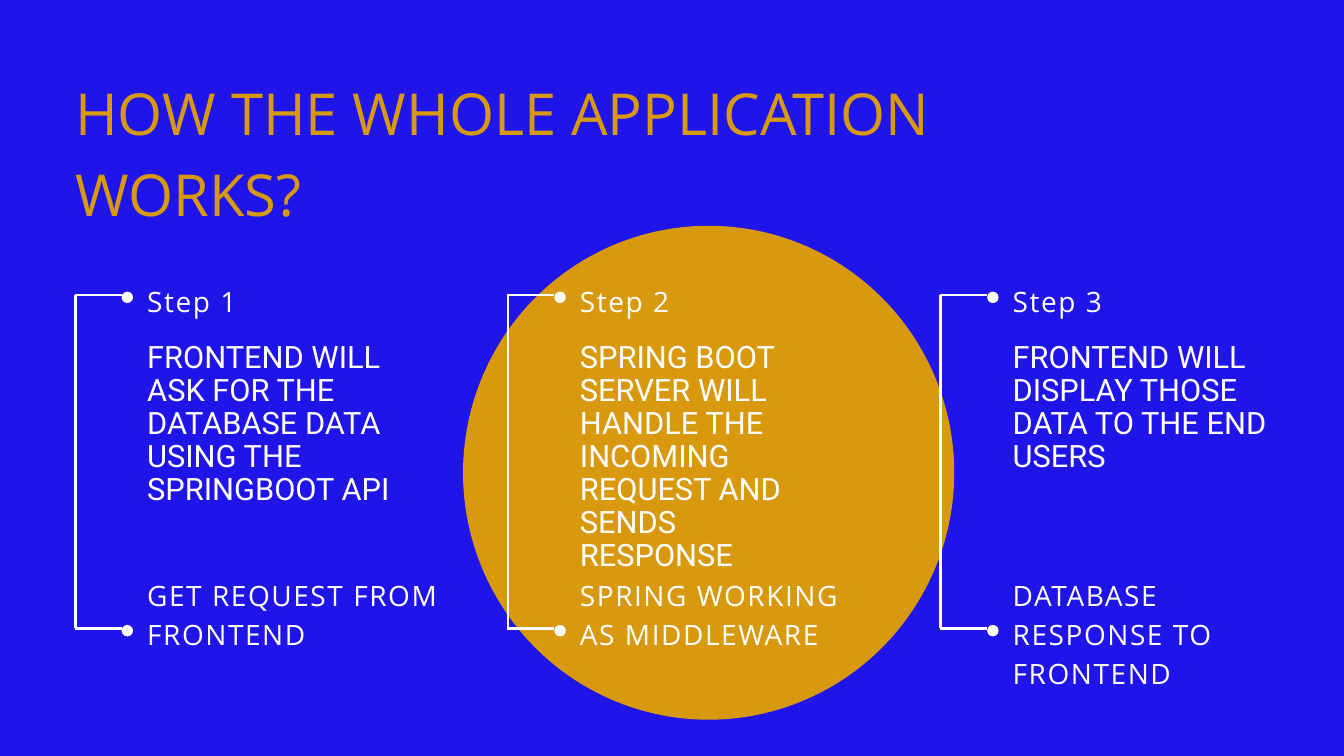
from pptx import Presentation
from pptx.dml.color import RGBColor
from pptx.enum.shapes import MSO_CONNECTOR, MSO_SHAPE
from pptx.enum.text import MSO_ANCHOR, MSO_AUTO_SIZE, PP_ALIGN
from pptx.oxml.ns import qn
from pptx.util import Inches, Pt
from lxml.etree import SubElement

COLOURS = {"background": "2015E8", "accent": "D8990F", "text": "FFFFFF"}
FORMATS = {
    "title": {"size": 62, "name": "Open Sans", "colour": "accent", "leading": 86.8, "spacing": 0},
    "label": {"size": 30, "name": "Open Sans", "colour": "text", "leading": 42, "spacing": 1.7},
    "detail": {"size": 33, "name": "Roboto", "colour": "text", "leading": 35.3, "spacing": 0},
}
STEPS = [
    ("Step 1", "FRONTEND WILL ASK FOR THE DATABASE DATA USING THE SPRINGBOOT API",
     "GET REQUEST FROM FRONTEND"),
    ("Step 2", "SPRING BOOT SERVER WILL HANDLE THE INCOMING REQUEST AND SENDS RESPONSE",
     "SPRING WORKING AS MIDDLEWARE"),
    ("Step 3", "FRONTEND WILL DISPLAY THOSE DATA TO THE END USERS",
     "DATABASE RESPONSE TO FRONTEND"),
]

# Grid: three step columns, with bracket arms on two rows
LEFT, PITCH = 1.12, 6.44
TEXT_INDENT, ARM, DOT = 1.07, 0.69, 0.17
ARM_ROWS = (4.39, 9.35)


def write(shape, text, format_name):
    values = FORMATS[format_name]
    frame = shape.text_frame
    frame.text = text
    settings = {"margin_left": 0, "margin_top": 0, "margin_right": 0, "margin_bottom": 0,
                "word_wrap": True, "vertical_anchor": MSO_ANCHOR.TOP,
                "auto_size": MSO_AUTO_SIZE.SHAPE_TO_FIT_TEXT}
    for name, value in settings.items():
        setattr(frame, name, value)
    paragraph = frame.paragraphs[0]
    paragraph.alignment = PP_ALIGN.LEFT
    paragraph.line_spacing = Pt(values["leading"])
    font = paragraph.runs[0].font
    for name, value in {"size": Pt(values["size"]), "name": values["name"]}.items():
        setattr(font, name, value)
    font.color.rgb = RGBColor.from_string(COLOURS[values["colour"]])
    if values["spacing"]:
        paragraph.runs[0]._r.get_or_add_rPr().set("spc", str(round(values["spacing"] * 100)))


def add_oval(slide, left, top, width, height, colour):
    shape = slide.shapes.add_shape(MSO_SHAPE.OVAL, *map(Inches, (left, top, width, height)))
    shape.shadow.inherit = False
    shape.fill.solid()
    shape.fill.fore_color.rgb = RGBColor.from_string(COLOURS[colour])
    shape.line.fill.background()


presentation = Presentation()
presentation.slide_width = Inches(20)
presentation.slide_height = Inches(11.25)
slide = presentation.slides.add_slide(presentation.slide_layouts[5])
slide.background.fill.solid()
slide.background.fill.fore_color.rgb = RGBColor.from_string(COLOURS["background"])

# Title
title = slide.shapes.title
for name, value in {"left": LEFT, "top": 0.99, "width": 14.76, "height": 2.36}.items():
    setattr(title, name, Inches(value))
write(title, "HOW THE WHOLE APPLICATION WORKS?", "title")

# Circle behind the middle step
add_oval(slide, 6.89, 3.36, 7.31, 7.35, "accent")

for column, (step, detail, result) in enumerate(STEPS):
    left = LEFT + column * PITCH

    # Bracket: an upright and two arms, each arm ending in a dot
    lines = [(left, ARM_ROWS[0], left, ARM_ROWS[1])]
    lines += [(left + ARM, row, left - 0.01, row) for row in ARM_ROWS]
    for ends in lines:
        connector = slide.shapes.add_connector(MSO_CONNECTOR.STRAIGHT, *map(Inches, ends))
        connector.line.color.rgb = RGBColor.from_string(COLOURS["text"])
        connector.line.width = Pt(3)
        SubElement(connector._element.spPr, qn("a:effectLst"))
    for row in ARM_ROWS:
        add_oval(slide, left + ARM, row - 0.05, DOT, DOT, "text")

    # Step name, detail and result
    for text, top, width, height, format_name in (
            (step, 4.15, 3.81, 0.55, "label"),
            (detail, 5.09, 3.81, 2.97, "detail"),
            (result, 8.52, 4.38, 1.74, "label")):
        box = slide.shapes.add_textbox(
            *map(Inches, (left + TEXT_INDENT, top, width, height)))
        write(box, text, format_name)

presentation.save("out.pptx")
